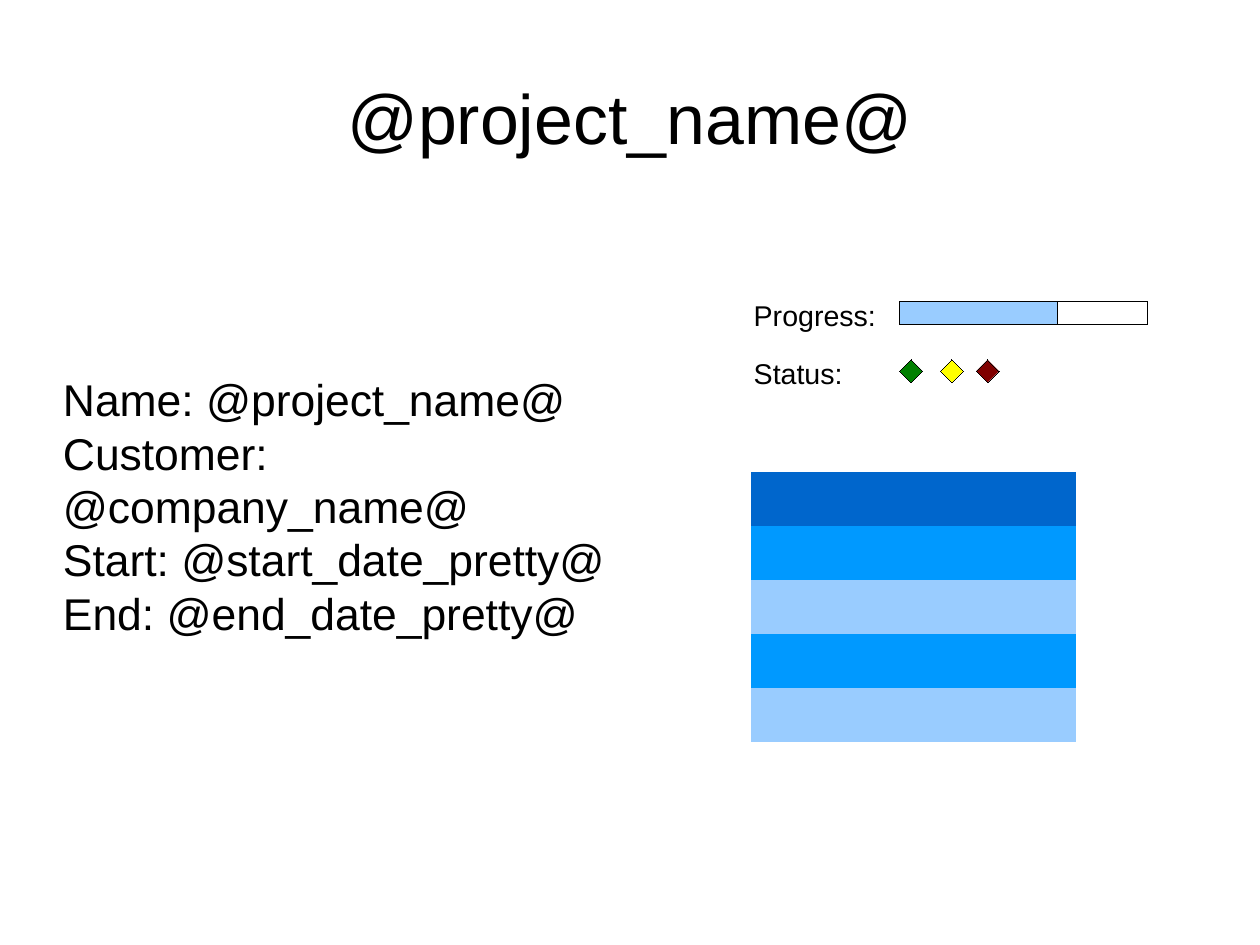
from dataclasses import dataclass

from pptx import Presentation
from pptx import util as u
from pptx.dml import color
from pptx.enum import shapes, text

WIDTH, HEIGHT = u.Cm(28), u.Cm(21)
FONT = "Arial"
NO_GRID_STYLE = "{2D5ABB26-0587-4C30-8999-92F81FD0307C}"
COLORS = {
    "text": "000000",
    "line": "000000",
    "white": "FFFFFF",
    "light": "99CCFF",
    "middle": "0099FF",
    "dark": "0066CC",
    "green": "008000",
    "yellow": "FFFF00",
    "red": "800000",
}


@dataclass(frozen=True)
class Area:
    """Left, top, width and height in percent of the slide."""

    left: float
    top: float
    width: float
    height: float

    def lengths(self) -> tuple[int, int, int, int]:
        return (
            round(WIDTH * self.left / 100),
            round(HEIGHT * self.top / 100),
            round(WIDTH * self.width / 100),
            round(HEIGHT * self.height / 100),
        )


@dataclass(frozen=True)
class Mark:
    kind: shapes.MSO_SHAPE
    area: Area
    fill: str


@dataclass(frozen=True)
class Label:
    words: str
    area: Area


VALUE_LEFT = 71.4
MARK_HEIGHT = 2.42
DIAMOND_WIDTH = 1.81

LABELS = [
    Label("Progress:", Area(58.93, 30.92, 11.52, 4.59)),
    Label("Status:", Area(58.93, 37.11, 8.89, 4.59)),
]
PROGRESS = [
    Mark(shapes.MSO_SHAPE.RECTANGLE, Area(VALUE_LEFT, 31.88, width, MARK_HEIGHT), fill)
    for width, fill in [(19.69, "white"), (12.52, "light")]
]
STATUS = [
    Mark(shapes.MSO_SHAPE.DIAMOND, Area(left, 38.07, DIAMOND_WIDTH, MARK_HEIGHT), fill)
    for left, fill in [(VALUE_LEFT, "green"), (74.64, "yellow"), (77.48, "red")]
]
TABLE_AREA = Area(59.61, 49.93, 25.8, 28.62)
TABLE_COLUMNS = 5
TABLE_ROWS = ["dark", "middle", "light", "middle", "light"]


def rgb(name: str) -> color.RGBColor:
    return color.RGBColor.from_string(COLORS[name])


def add_text(s, lines: list[str], area: Area, *, size: float,
             align=text.PP_ALIGN.LEFT, anchor=text.MSO_ANCHOR.TOP,
             wrap: bool = True, inset: tuple[float, float] = (0, 0)) -> None:
    tf = s.shapes.add_textbox(*area.lengths()).text_frame
    tf.word_wrap = wrap
    tf.vertical_anchor = anchor
    tf.margin_left = tf.margin_right = u.Inches(inset[0])
    tf.margin_top = tf.margin_bottom = u.Inches(inset[1])
    for i, line in enumerate(lines):
        p = tf.add_paragraph() if i else tf.paragraphs[0]
        p.alignment = align
        r = p.add_run()
        r.text = line
        r.font.name = FONT
        r.font.size = u.Pt(size)
        r.font.color.rgb = rgb("text")


def add_mark(s, mark: Mark) -> None:
    sp = s.shapes.add_shape(mark.kind, *mark.area.lengths())
    sp.shadow.inherit = False
    sp.fill.solid()
    sp.fill.fore_color.rgb = rgb(mark.fill)
    sp.line.color.rgb = rgb("line")
    sp.element.xpath("./p:spPr/a:ln")[0].set("w", "0")


def add_color_table(s, area: Area, row_fills: list[str], columns: int) -> None:
    frame = s.shapes.add_table(len(row_fills), columns, *area.lengths())
    frame.element.xpath(".//a:tableStyleId")[0].text = NO_GRID_STYLE
    table = frame.table
    table.first_row = table.horz_banding = False
    for row, fill in zip(table.rows, row_fills):
        for cell in row.cells:
            cell.fill.solid()
            cell.fill.fore_color.rgb = rgb(fill)


def main() -> None:
    prs = Presentation()
    prs.slide_width, prs.slide_height = WIDTH, HEIGHT
    s = prs.slides.add_slide(prs.slide_layouts[6])

    add_text(s, ["@project_name@"], Area(5, 4.59, 90, 15.48), size=44,
             align=text.PP_ALIGN.CENTER, anchor=text.MSO_ANCHOR.MIDDLE)
    add_text(s, [
        "Name: @project_name@",
        "Customer: @company_name@",
        "Start: @start_date_pretty@",
        "End: @end_date_pretty@",
    ], Area(5, 23.95, 45, 59.15), size=28, anchor=text.MSO_ANCHOR.MIDDLE)

    for label in LABELS:
        add_text(s, [label.words], label.area, size=18, wrap=False, inset=(0.1, 0.05))
    for mark in PROGRESS + STATUS:
        add_mark(s, mark)
    add_color_table(s, TABLE_AREA, TABLE_ROWS, TABLE_COLUMNS)

    prs.save("out.pptx")


if __name__ == "__main__":
    main()
